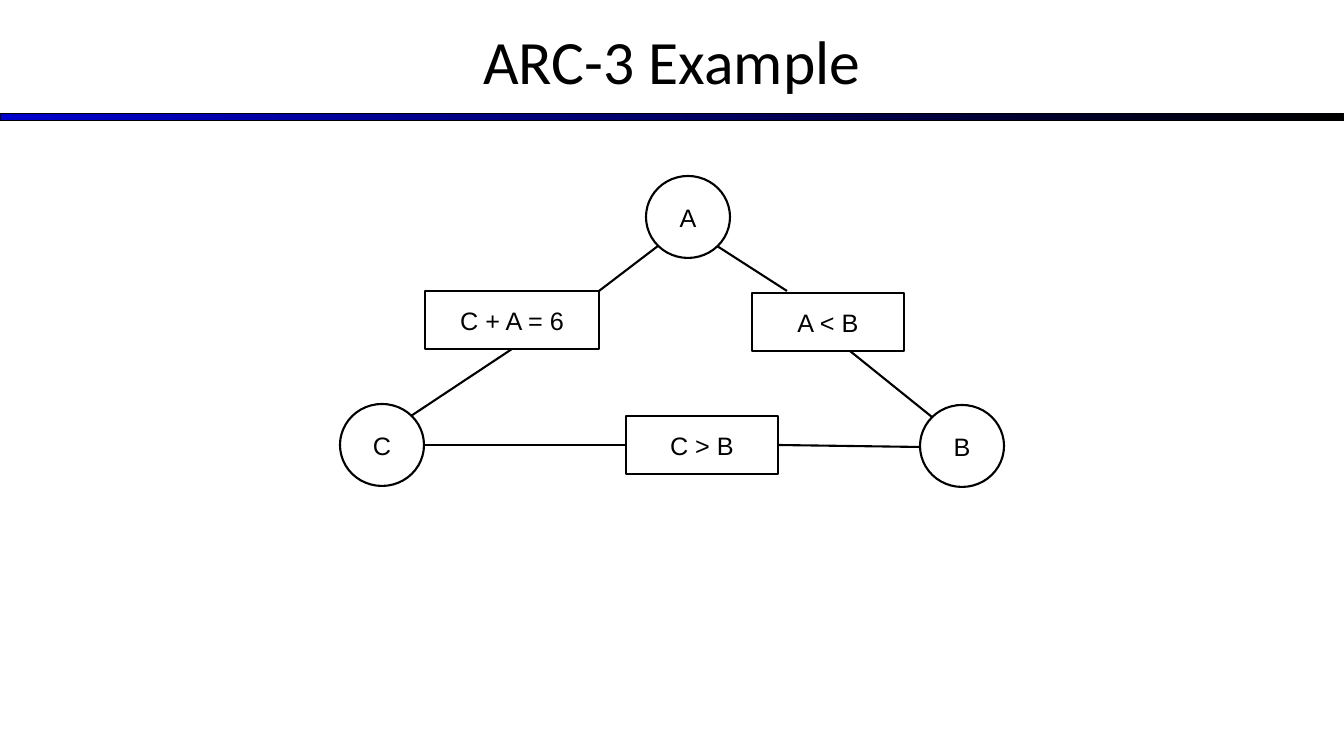
"""Builds a slide with a three-variable constraint graph."""
from dataclasses import dataclass

from lxml.etree import SubElement
from pptx import Presentation
from pptx.dml.color import RGBColor
from pptx.enum.shapes import MSO_CONNECTOR, MSO_SHAPE
from pptx.enum.text import MSO_ANCHOR, PP_ALIGN
from pptx.oxml.ns import qn
from pptx.shapes.autoshape import Shape
from pptx.slide import Slide
from pptx.util import Emu, Pt

SLIDE_W, SLIDE_H = 1344, 756
EMU_PER_PX = 12192000 / SLIDE_W


@dataclass(frozen=True)
class Theme:
    ink: RGBColor = RGBColor(0, 0, 0)
    paper: RGBColor = RGBColor(255, 255, 255)
    accent: RGBColor = RGBColor(0, 0, 0xCC)
    title_font: str = "Calibri"
    label_font: str = "Arial"
    title_size: int = 44
    label_size: int = 18
    rule_width: float = 0.75
    line_width: float = 1.5


@dataclass(frozen=True)
class Node:
    label: str
    x: int
    y: int
    w: int = 84
    h: int = 82
    kind: MSO_SHAPE = MSO_SHAPE.OVAL


@dataclass(frozen=True)
class Edge:
    x1: int
    y1: int
    x2: int
    y2: int


THEME = Theme()
BOX = MSO_SHAPE.RECTANGLE
NODES = (
    Node("A", 646, 176),
    Node("B", 920, 405),
    Node("C", 340, 404),
    Node("A < B", 752, 293, 152, 58, BOX),
    Node("C > B", 626, 416, 152, 58, BOX),
    Node("C + A = 6", 425, 291, 174, 58, BOX),
)
EDGES = (
    Edge(717, 246, 787, 291),
    Edge(850, 351, 932, 417),
    Edge(425, 445, 626, 445),
    Edge(778, 445, 920, 447),
    Edge(411, 416, 512, 349),
    Edge(599, 291, 658, 246),
)


def px(*lengths: int) -> list[Emu]:
    """Convert pixel lengths to EMU."""
    return [Emu(round(n * EMU_PER_PX)) for n in lengths]


def write(s: Shape, text: str, *, font: str, size: int) -> None:
    """Put one centred line of text into a shape."""
    tf = s.text_frame
    tf.word_wrap = True
    tf.vertical_anchor = MSO_ANCHOR.MIDDLE
    p = tf.paragraphs[0]
    p.alignment = PP_ALIGN.CENTER
    r = p.add_run()
    r.text = text
    r.font.name, r.font.size = font, Pt(size)
    r.font.color.rgb = THEME.ink


def add_outlined(sp: Slide, kind: MSO_SHAPE, x: int, y: int, w: int, h: int, width: float) -> Shape:
    """Add a shape with a dark outline and no shadow."""
    s = sp.shapes.add_shape(kind, *px(x, y, w, h))
    s.shadow.inherit = False
    s.line.color.rgb = THEME.ink
    s.line.width = Pt(width)
    return s


def add_header(sp: Slide, title: str) -> None:
    """Draw the gradient rule and the title above it."""
    rule = add_outlined(sp, BOX, 0, 114, SLIDE_W, 7, THEME.rule_width)
    rule.fill.gradient()
    rule.fill.gradient_angle = 0
    for stop, color in zip(rule.fill.gradient_stops, (THEME.accent, THEME.ink)):
        stop.color.rgb = color
    box = sp.shapes.add_textbox(*px(0, -3, SLIDE_W, 126))
    write(box, title, font=THEME.title_font, size=THEME.title_size)


def add_node(sp: Slide, node: Node) -> None:
    """Draw a variable circle or a constraint box."""
    s = add_outlined(sp, node.kind, node.x, node.y, node.w, node.h, THEME.line_width)
    s.fill.solid()
    s.fill.fore_color.rgb = THEME.paper
    write(s, node.label, font=THEME.label_font, size=THEME.label_size)


def add_edge(sp: Slide, edge: Edge) -> None:
    """Draw a line between a variable and a constraint."""
    s = sp.shapes.add_connector(MSO_CONNECTOR.STRAIGHT, *px(edge.x1, edge.y1, edge.x2, edge.y2))
    s.line.color.rgb = THEME.ink
    s.line.width = Pt(THEME.line_width)
    SubElement(s._element.spPr, qn("a:effectLst"))


def main() -> None:
    """Build and save the slide."""
    prs = Presentation()
    prs.slide_width, prs.slide_height = px(SLIDE_W, SLIDE_H)
    sp = prs.slides.add_slide(prs.slide_layouts[6])
    add_header(sp, "ARC-3 Example")
    for node in NODES:
        add_node(sp, node)
    for edge in EDGES:
        add_edge(sp, edge)
    prs.save("out.pptx")


if __name__ == "__main__":
    main()
